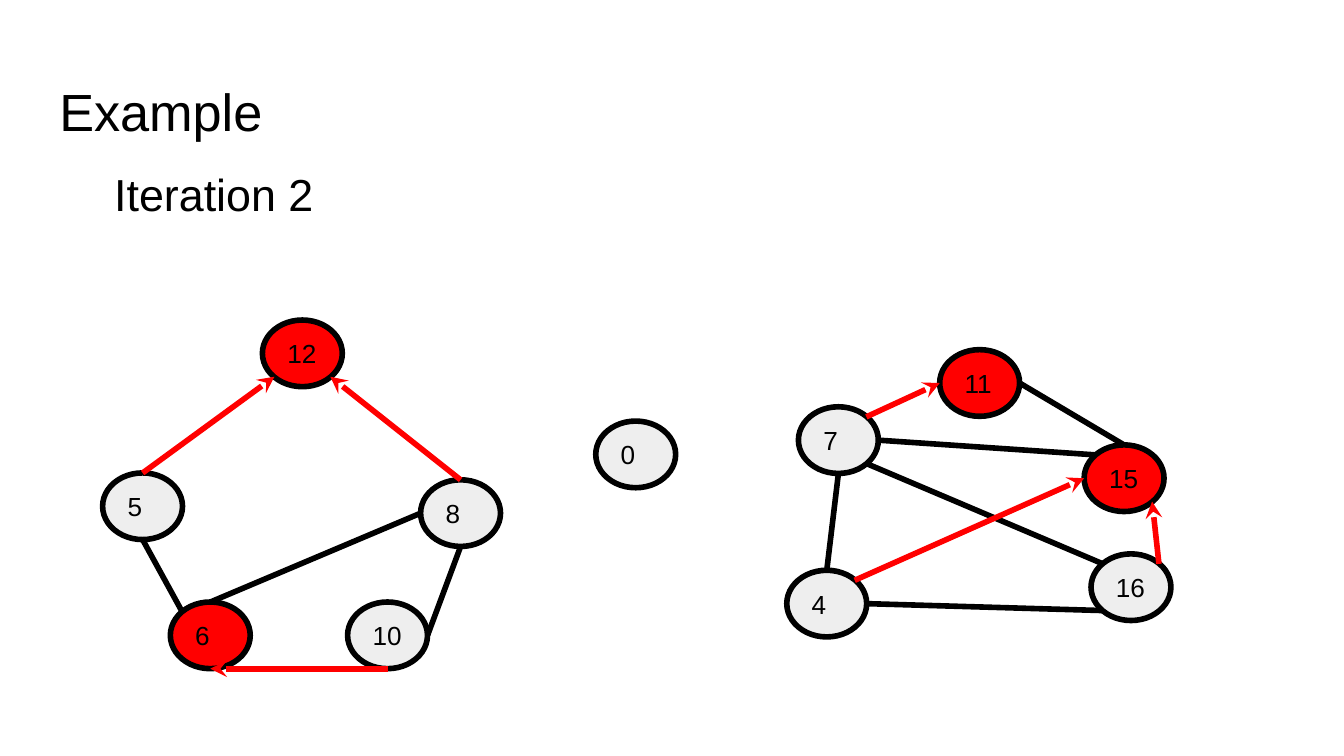
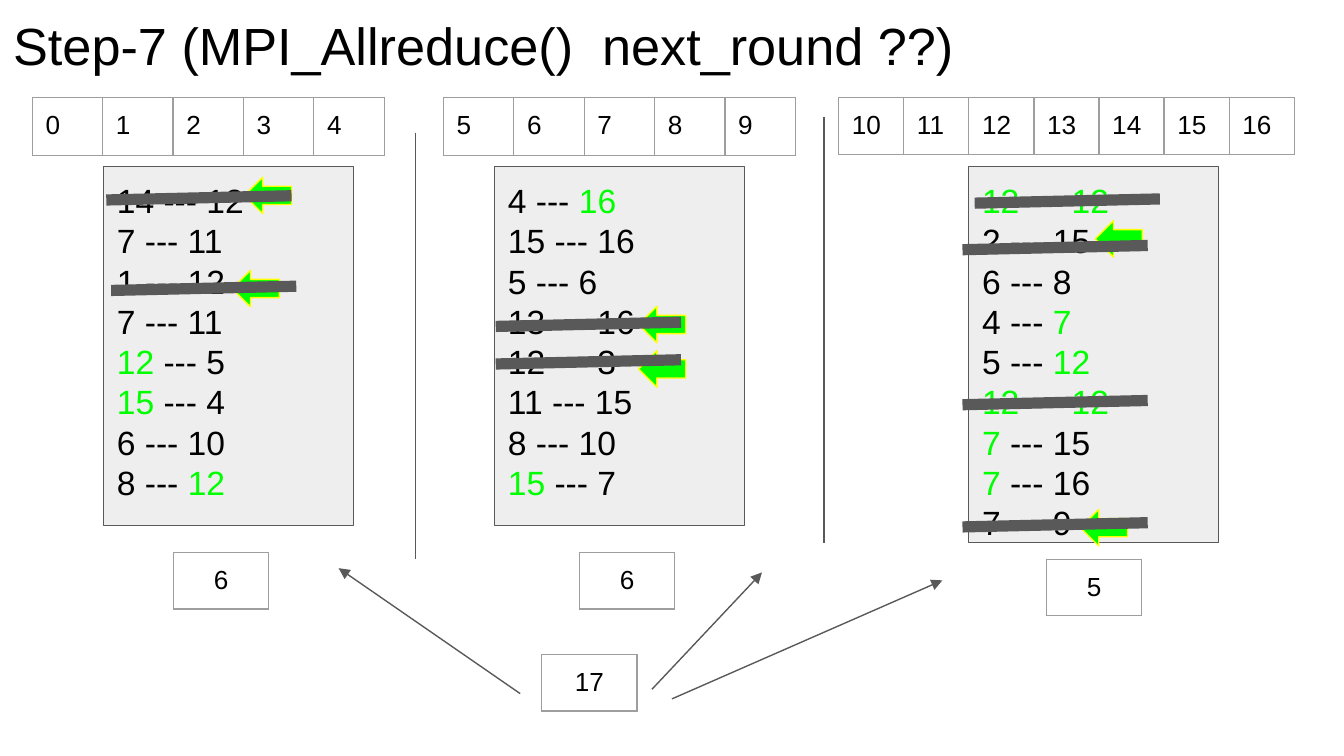
from lxml import etree
from pptx import Presentation
from pptx import util as u
from pptx.dml.color import RGBColor
from pptx.enum import shapes, text
from pptx.oxml import ns

BLACK, GREY, PALE = "000000", "595959", "EEEEEE"
RED, GREEN, YELLOW, RULE = "FF0000", "00FF00", "FFFF00", "9E9E9E"
Cm, Pt, rgb = u.Cm, u.Pt, RGBColor.from_string


def dress(o, lines, size, fill=None, border=None, width=0.75,
          anchor=text.MSO_ANCHOR.TOP, align=text.PP_ALIGN.LEFT):
    """Style a shape or table cell and write its lines; *marked* parts are green."""
    if fill:
        o.fill.solid()
        o.fill.fore_color.rgb = rgb(fill)
    else:
        o.fill.background()
    if border:
        o.line.color.rgb = rgb(border)
        o.line.width = Pt(width)
        o.shadow.inherit = False
    tf = o.text_frame
    holder = o if hasattr(o, "margin_left") else tf
    for side in ("left", "top", "right", "bottom"):
        setattr(holder, "margin_" + side, Cm(0.25))
    holder.vertical_anchor = anchor
    if holder is tf:
        tf.word_wrap = True
        tf.auto_size = text.MSO_AUTO_SIZE.NONE
    for i, line in enumerate(lines):
        p = tf.add_paragraph() if i else tf.paragraphs[0]
        p.alignment = align
        for j, part in enumerate(line.split("*")):
            if part:
                r = p.add_run()
                r.text = part
                r.font.name, r.font.size = "Arial", Pt(size)
                r.font.color.rgb = rgb(GREEN if j % 2 else BLACK)


def draw_line(s, start, end, color, width, arrow=None):
    c = s.shapes.add_connector(shapes.MSO_CONNECTOR.STRAIGHT,
                               *(Cm(v) for v in (*start, *end)))
    c.line.color.rgb = rgb(color)
    c.line.width = Pt(width)
    if arrow:
        ln = c.line._get_or_add_ln()
        etree.SubElement(ln, ns.qn("a:tailEnd"), type=arrow)
    etree.SubElement(c._element.spPr, ns.qn("a:effectLst"))


prs = Presentation()
prs.slide_width, prs.slide_height = Cm(25.4), Cm(14.29)

slides = []
for title, box in [
    ("Example", (0.87, 1.24, 23.67, 1.6)),
    ("Step-7 (MPI_Allreduce()  next_round ??)", (0, 0, 24.49, 1.42)),
]:
    s = prs.slides.add_slide(prs.slide_layouts[5])
    t = s.shapes.title
    t.left, t.top, t.width, t.height = (Cm(v) for v in box)
    dress(t, [title], 28)
    slides.append(s)
graph, lists = slides

# Slide 1: graph after the second iteration
sp = graph.shapes.add_textbox(Cm(1.91), Cm(2.75), Cm(5.84), Cm(1.8))
dress(sp, ["Iteration 2"], 24)
p = sp.text_frame.paragraphs[0]
p.line_spacing, p.space_after = 1.15, Pt(16)

NODE_W, NODE_H = 1.51, 1.26
nodes = {
    8: (7.95, 9.07), 5: (1.94, 8.94), 6: (3.22, 11.38), 10: (6.57, 11.38),
    0: (11.26, 7.96), 11: (17.76, 6.61), 7: (15.09, 7.69), 15: (20.49, 8.41),
    4: (14.87, 10.78), 16: (20.62, 10.47), 12: (4.96, 6.05),
}
for label, (x, y) in nodes.items():
    sp = graph.shapes.add_shape(shapes.MSO_SHAPE.OVAL, Cm(x), Cm(y), Cm(NODE_W), Cm(NODE_H))
    dress(sp, [str(label)], 14, RED if label in (6, 11, 12, 15) else PALE,
          BLACK, 3, text.MSO_ANCHOR.MIDDLE)

# Points on a node's rim as fractions of its size
sites = {"n": (0.5, 0), "s": (0.5, 1), "w": (0, 0.5), "e": (1, 0.5),
         "nw": (0.15, 0.15), "ne": (0.85, 0.15), "sw": (0.15, 0.85), "se": (0.85, 0.85)}
plain = [(8, "s", 10, "e"), (6, "nw", 5, "s"), (8, "w", 6, "n"), (11, "e", 15, "n"),
         (7, "se", 16, "nw"), (4, "n", 7, "s"), (4, "e", 16, "sw"), (7, "e", 15, "nw")]
chosen = [(10, "s", 6, "s"), (7, "ne", 11, "w"), (16, "ne", 15, "se"),
          (8, "n", 12, "se"), (5, "n", 12, "sw"), (4, "ne", 15, "w")]
for edges, color, arrow in [(plain, BLACK, None), (chosen, RED, "stealth")]:
    for a, a_site, b, b_site in edges:
        start, end = [
            (nodes[n][0] + sites[site][0] * NODE_W, nodes[n][1] + sites[site][1] * NODE_H)
            for n, site in ((a, a_site), (b, b_site))
        ]
        draw_line(graph, start, end, color, 3, arrow)

# Slide 2: edge lists of three processes
for x, y in [(7.85, 2.51), (15.57, 2.21)]:
    draw_line(lists, (x, y), (x, y + 8.05), GREY, 0.75)

LEFT, CENTER = text.PP_ALIGN.LEFT, text.PP_ALIGN.CENTER
for x, y, col_w, row_h, values, align in [
    (0.61, 1.84, 1.33, 1.1, range(0, 5), LEFT),
    (8.38, 1.84, 1.33, 1.1, range(5, 10), LEFT),
    (15.85, 1.85, 1.23, 1.07, range(10, 17), LEFT),
    (3.28, 10.44, 1.8, 1.07, [6], CENTER),
    (10.95, 10.44, 1.8, 1.07, [6], CENTER),
    (19.78, 10.57, 1.8, 1.07, [5], CENTER),
    (10.24, 12.37, 1.8, 1.07, [17], CENTER),
]:
    table = lists.shapes.add_table(1, len(values), Cm(x), Cm(y),
                                   Cm(col_w * len(values)), Cm(row_h)).table
    table.first_row = table.horz_banding = False
    for col, value in enumerate(values):
        table.columns[col].width = Cm(col_w)
        cell = table.cell(0, col)
        dress(cell, [str(value)], 14, align=align)
        for i, edge in enumerate(("lnL", "lnR", "lnT", "lnB")):
            ln = etree.Element(ns.qn("a:" + edge), w=str(Pt(0.75)))
            solid = etree.SubElement(ln, ns.qn("a:solidFill"))
            etree.SubElement(solid, ns.qn("a:srgbClr"), val=RULE)
            cell._tc.get_or_add_tcPr().insert(i, ln)

for x, h, pairs in [
    (1.96, 6.78, ["14 --- 12", "7 --- 11", "1 --- 12", "7 --- 11", "*12* --- 5",
                  "*15* --- 4", "6 --- 10", "8 --- *12*"]),
    (9.35, 6.78, ["4 --- *16*", "15 --- 16", "5 --- 6", "13 --- 16", "12 --- 3",
                  "11 --- 15", "8 --- 10", "*15* --- 7"]),
    (18.31, 7.11, ["*12* --- *12*", "2 --- 15", "6 --- 8", "4 --- *7*", "5 --- *12*",
                   "*12* --- *12*", "*7* --- 15", "*7* --- 16", "7 --- 9"]),
]:
    sp = lists.shapes.add_shape(shapes.MSO_SHAPE.RECTANGLE, Cm(x), Cm(3.15), Cm(4.72), Cm(h))
    dress(sp, pairs, 18, PALE, GREY)

for x, y in [(4.62, 3.35), (4.39, 5.11), (12.07, 5.79), (12.07, 6.63),
             (20.7, 4.17), (20.42, 9.63)]:
    sp = lists.shapes.add_shape(shapes.MSO_SHAPE.LEFT_ARROW, Cm(x), Cm(y), Cm(0.89), Cm(0.69))
    dress(sp, [], 18, GREEN, YELLOW)

for x, y in [(2.01, 3.78), (9.37, 6.88), (18.19, 9.96), (18.19, 4.72),
             (9.37, 6.17), (2.1, 5.49), (18.42, 3.84), (18.19, 7.65)]:
    draw_line(lists, (x, y), (x + 3.5, y - 0.08), GREY, 6)

for start, end in [((9.83, 13.11), (6.4, 10.74)), ((12.32, 13.03), (14.4, 10.82)),
                   ((12.7, 13.21), (17.81, 10.97))]:
    draw_line(lists, start, end, GREY, 0.75, "triangle")

prs.save("out.pptx")
